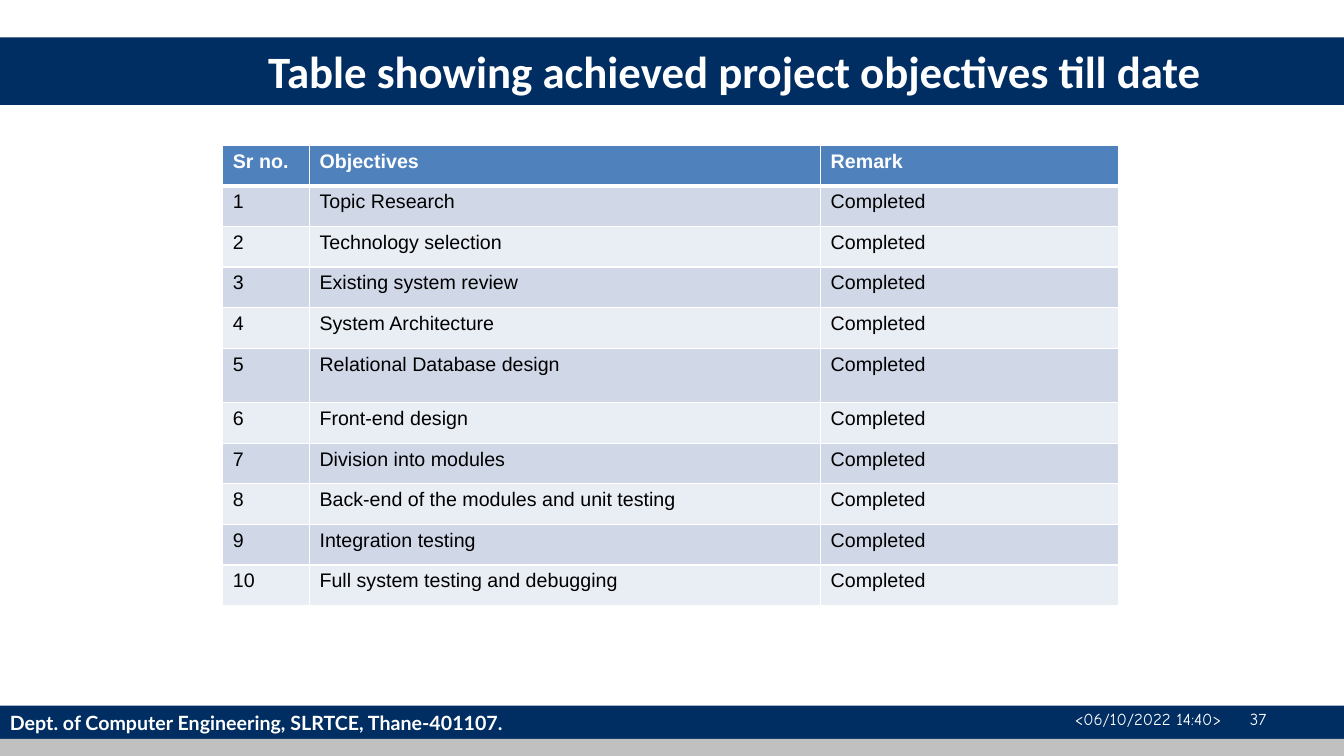
from dataclasses import dataclass

from lxml.etree import SubElement
from pptx import Presentation
from pptx.dml.color import RGBColor
from pptx.enum.shapes import MSO_SHAPE
from pptx.enum.text import MSO_ANCHOR, MSO_AUTO_SIZE, PP_ALIGN
from pptx.oxml.ns import qn
from pptx.slide import Slide
from pptx.table import _Cell as Cell
from pptx.text.text import TextFrame, _Paragraph as Paragraph
from pptx.util import Inches, Pt

NAVY = RGBColor(0x00, 0x2E, 0x62)
SILVER = RGBColor(0xC0, 0xC0, 0xC0)
WHITE = RGBColor(0xFF, 0xFF, 0xFF)
BLACK = RGBColor(0x00, 0x00, 0x00)
HEADER_BLUE = RGBColor(0x4F, 0x81, 0xBD)
ODD_ROW = RGBColor(0xD0, 0xD8, 0xE8)
EVEN_ROW = RGBColor(0xE9, 0xED, 0xF4)

SLIDE_WIDTH, SLIDE_HEIGHT = 13.33, 7.5
TABLE_LEFT, TABLE_TOP, TABLE_HEIGHT = 2.21, 1.44, 4.57
COLUMN_WIDTHS = (0.86, 5.07, 2.96)
TALL_ROW, TALL_ROW_HEIGHT = 5, 0.54
HEADINGS = ("Sr no.", "Objectives", "Remark")
OBJECTIVES = (
    "Topic Research",
    "Technology selection",
    "Existing system review",
    "System Architecture",
    "Relational Database design",
    "Front-end design",
    "Division into modules",
    "Back-end of the modules and unit testing",
    "Integration testing",
    "Full system testing and debugging",
)


@dataclass(frozen=True)
class TextStyle:
    font: str
    size: float
    color: RGBColor
    bold: bool = False


@dataclass(frozen=True)
class Band:
    top: float
    height: float
    fill: RGBColor
    text: str = ""


TITLE_STYLE = TextStyle("Calibri", 32, WHITE, True)
FOOTER_STYLE = TextStyle("Lato", 14, WHITE, True)
DATE_STYLE = TextStyle("Comic Neue", 12, WHITE)
HEADING_STYLE = TextStyle("Arial", 14, WHITE, True)
BODY_STYLE = TextStyle("Arial", 14, BLACK)

BANDS = (
    Band(7, 0.33, NAVY, "Dept. of Computer Engineering, SLRTCE, Thane-401107."),
    Band(0.37, 0.67, NAVY),
    Band(7.33, 0.17, SILVER),
)


def add_run(paragraph: Paragraph, text: str, style: TextStyle) -> None:
    run = paragraph.add_run()
    run.text = text
    run.font.name = style.font
    run.font.size = Pt(style.size)
    run.font.bold = style.bold
    run.font.color.rgb = style.color


def set_frame(frame: TextFrame, left_inset: float = 0.1) -> None:
    frame.word_wrap = True
    frame.auto_size = MSO_AUTO_SIZE.NONE
    frame.vertical_anchor = MSO_ANCHOR.MIDDLE
    frame.margin_left, frame.margin_right = Inches(left_inset), Inches(0.1)
    frame.margin_top = frame.margin_bottom = Inches(0.05)


def add_band(slide: Slide, band: Band) -> None:
    shape = slide.shapes.add_shape(
        MSO_SHAPE.RECTANGLE, 0, Inches(band.top), Inches(SLIDE_WIDTH), Inches(band.height)
    )
    shape.shadow.inherit = False
    shape.fill.solid()
    shape.fill.fore_color.rgb = band.fill
    shape.line.fill.background()
    if band.text:
        set_frame(shape.text_frame)
        paragraph = shape.text_frame.paragraphs[0]
        paragraph.alignment = PP_ALIGN.LEFT
        add_run(paragraph, band.text, FOOTER_STYLE)


def add_title(slide: Slide, text: str) -> None:
    title = slide.shapes.title
    title.left, title.top = Inches(2.56), Inches(0.08)
    title.width, title.height = Inches(10.56), Inches(1.25)
    set_frame(title.text_frame)
    paragraph = title.text_frame.paragraphs[0]
    paragraph.alignment = PP_ALIGN.LEFT
    add_run(paragraph, text, TITLE_STYLE)
    # Bring the title in front of the bands
    title.element.getparent().append(title.element)


def add_date_and_number(slide: Slide, date: str, number: str) -> None:
    box = slide.shapes.add_textbox(Inches(9.56), Inches(6.93), Inches(3.11), Inches(0.4))
    set_frame(box.text_frame, left_inset=1.1)
    paragraph = box.text_frame.paragraphs[0]
    paragraph.alignment = PP_ALIGN.LEFT
    tabs = SubElement(paragraph._p.get_or_add_pPr(), qn("a:tabLst"))
    SubElement(tabs, qn("a:tab"), pos=str(Inches(1.9)), algn="r")
    add_run(paragraph, f"{date}\t{number}", DATE_STYLE)


def set_borders(cell: Cell, bottom_width: float) -> None:
    properties = cell._tc.get_or_add_tcPr()
    widths = {"a:lnL": 1, "a:lnR": 1, "a:lnT": 1, "a:lnB": bottom_width}
    for tag, width in widths.items():
        line = SubElement(properties, qn(tag), w=str(Pt(width)))
        fill = SubElement(line, qn("a:solidFill"))
        SubElement(fill, qn("a:srgbClr"), val=str(WHITE))


def fill_cell(cell: Cell, text: str, style: TextStyle, fill: RGBColor, bottom_width: float) -> None:
    set_borders(cell, bottom_width)
    cell.fill.solid()
    cell.fill.fore_color.rgb = fill
    add_run(cell.text_frame.paragraphs[0], text, style)


def add_objectives_table(slide: Slide) -> None:
    rows = [HEADINGS]
    rows += [(str(i), name, "Completed") for i, name in enumerate(OBJECTIVES, start=1)]
    table = slide.shapes.add_table(
        len(rows), len(HEADINGS), Inches(TABLE_LEFT), Inches(TABLE_TOP),
        Inches(sum(COLUMN_WIDTHS)), Inches(TABLE_HEIGHT),
    ).table
    for column, width in zip(table.columns, COLUMN_WIDTHS):
        column.width = Inches(width)
    row_height = (TABLE_HEIGHT - TALL_ROW_HEIGHT) / (len(rows) - 1)
    for i, texts in enumerate(rows):
        table.rows[i].height = Inches(TALL_ROW_HEIGHT if i == TALL_ROW else row_height)
        if i == 0:
            style, fill, bottom_width = HEADING_STYLE, HEADER_BLUE, 3
        else:
            style, fill, bottom_width = BODY_STYLE, ODD_ROW if i % 2 else EVEN_ROW, 1
        for j, text in enumerate(texts):
            fill_cell(table.cell(i, j), text, style, fill, bottom_width)


def main() -> None:
    presentation = Presentation()
    presentation.slide_width = Inches(SLIDE_WIDTH)
    presentation.slide_height = Inches(SLIDE_HEIGHT)
    slide = presentation.slides.add_slide(presentation.slide_layouts.get_by_name("Title Only"))

    # Bands and title
    for band in BANDS:
        add_band(slide, band)
    add_title(slide, "Table showing achieved project objectives till date")

    # Footer date and table
    add_date_and_number(slide, "<06/10/2022 14:40>", "37")
    add_objectives_table(slide)

    presentation.save("out.pptx")


if __name__ == "__main__":
    main()
